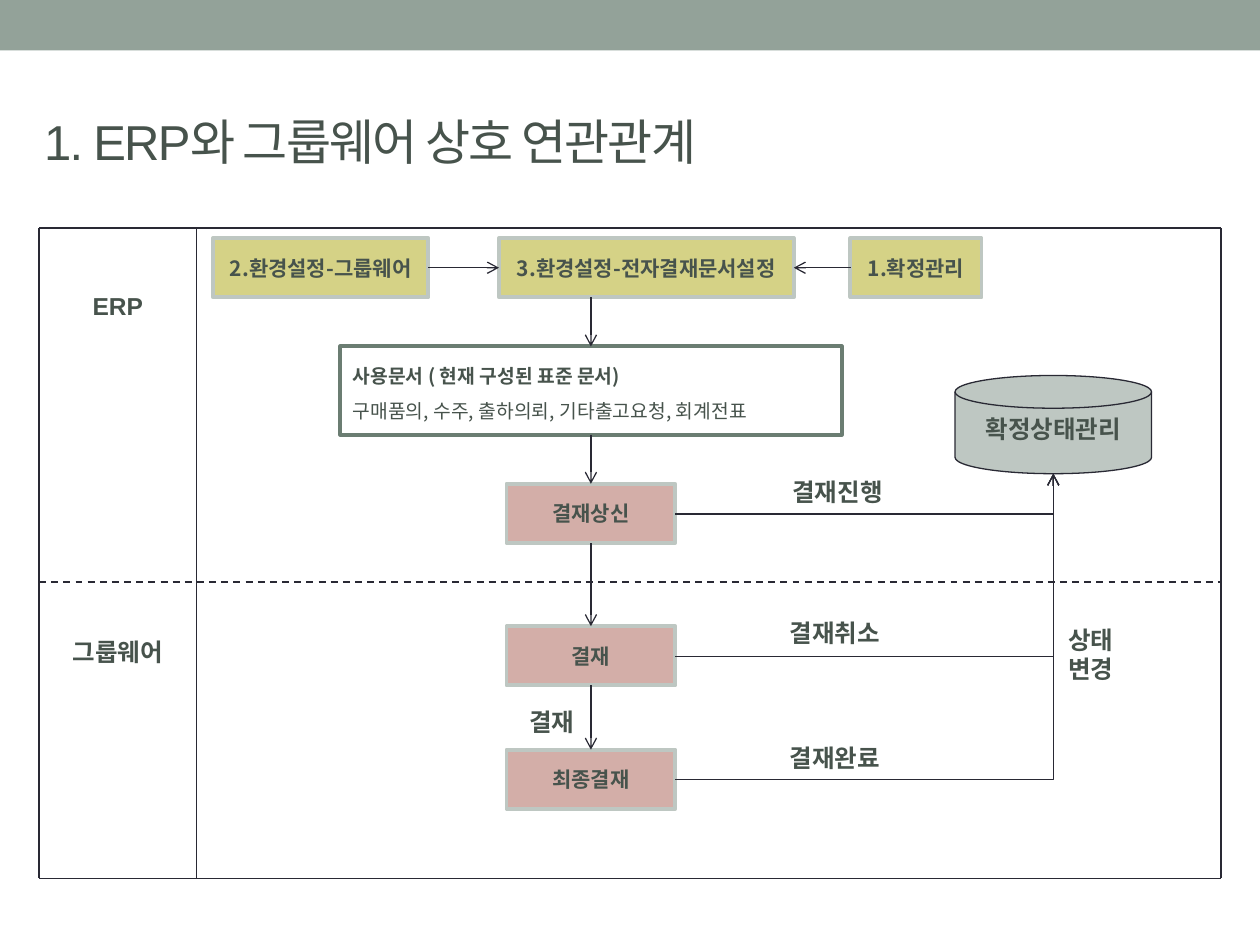
from lxml import etree
from pptx import Presentation
from pptx.dml.color import RGBColor
from pptx.enum import dml, shapes, text
from pptx.oxml.ns import qn
from pptx.util import Inches, Pt

INK = "47534C"
LINE = "292934"
SAGE = "BEC7C2"
YELLOW = "D5D286"
PINK = "D3AEA8"
SANS = "Noto Sans CJK KR"
BOX_HEIGHT = 0.47
STEP_LEFT, STEP_WIDTH = 4.02, 1.34
FLOW_X = STEP_LEFT + STEP_WIDTH / 2
LEFT, DIVIDER, RIGHT = 0.31, 1.56, 9.69
TOP, SPLIT, BOTTOM = 1.81, 4.62, 6.97
TOP_MIDDLE, LEFT_MIDDLE, BOTTOM_MIDDLE, RIGHT_MIDDLE = range(4)


def color(value):
    return RGBColor.from_string(value)


def write(shape, lines, size, font, align=text.PP_ALIGN.CENTER,
          anchor=text.MSO_ANCHOR.MIDDLE, wrap=False):
    """Fill a shape with bold paragraphs, one for each line."""
    frame = shape.text_frame
    frame.word_wrap = wrap
    frame.vertical_anchor = anchor
    frame.text = "\n".join(lines)
    for paragraph in frame.paragraphs:
        paragraph.alignment = align
        paragraph.font.size = Pt(size)
        paragraph.font.name = font
        paragraph.font.bold = True
        paragraph.font.color.rgb = color(INK)


def add_block(slide, kind, place, fill=None, line=None, width=2.25):
    shape = slide.shapes.add_shape(kind, *map(Inches, place))
    shape.shadow.inherit = False
    if fill:
        shape.fill.solid()
        shape.fill.fore_color.rgb = color(fill)
    else:
        shape.fill.background()
    if line:
        shape.line.color.rgb = color(line)
        shape.line.width = Pt(width)
    else:
        shape.line.fill.background()
    return shape


def add_box(slide, label, left, top, width, fill):
    box = add_block(slide, shapes.MSO_SHAPE.RECTANGLE,
                    (left, top, width, BOX_HEIGHT), fill, SAGE)
    write(box, [label], 12, SANS)
    return box


def add_label(slide, lines, left, top, width, height):
    label = slide.shapes.add_textbox(*map(Inches, (left, top, width, height)))
    write(label, lines, 14, "Cabin", text.PP_ALIGN.LEFT, text.MSO_ANCHOR.TOP)
    label.text_frame.auto_size = text.MSO_AUTO_SIZE.SHAPE_TO_FIT_TEXT


def add_line(slide, start, end, arrow=False, kind=shapes.MSO_CONNECTOR.STRAIGHT,
             width=0.75):
    line = slide.shapes.add_connector(kind, *map(Inches, (*start, *end)))
    line.line.color.rgb = color(LINE)
    line.line.width = Pt(width)
    properties = line._element.spPr
    if arrow:
        tail = etree.SubElement(properties.find(qn("a:ln")), qn("a:tailEnd"))
        tail.set("type", "arrow")
    etree.SubElement(properties, qn("a:effectLst"))
    return line


def join(slide, source, source_side, target, target_side):
    """Draw an arrow between the middles of two sides."""
    arrow = add_line(slide, (0, 0), (1, 1), arrow=True)
    arrow.begin_connect(source, source_side)
    arrow.end_connect(target, target_side)


def add_elbow(slide, start, end):
    """Draw an arrow that runs across and then turns up, with one corner."""
    elbow = add_line(slide, start, end, True, shapes.MSO_CONNECTOR.ELBOW)
    elbow._element.spPr.find(qn("a:prstGeom")).set("prst", "bentConnector2")


def add_title(slide, wording):
    title = slide.shapes.title
    title.left, title.top = Inches(0.25), Inches(0.58)
    title.width, title.height = Inches(9), Inches(1.08)
    title.text_frame.vertical_anchor = text.MSO_ANCHOR.MIDDLE
    paragraph = title.text_frame.paragraphs[0]
    paragraph.alignment = text.PP_ALIGN.LEFT
    run = paragraph.add_run()
    run.text = wording
    run.font._element.set("spc", "-100")
    paragraph.font.size = Pt(28)
    paragraph.font.name = "Arial"
    paragraph.font.color.rgb = color(INK)


def add_lanes(slide):
    for x in (LEFT, DIVIDER, RIGHT):
        add_line(slide, (x, TOP), (x, BOTTOM))
    for y in (TOP, BOTTOM):
        add_line(slide, (LEFT, y), (RIGHT, y))
    split = add_line(slide, (LEFT, SPLIT), (RIGHT, SPLIT), width=1)
    split.line.dash_style = dml.MSO_LINE.DASH
    for name, top in (("ERP", 2.04), ("그룹웨어", 4.78)):
        heading = slide.shapes.add_textbox(
            *map(Inches, (LEFT, top, DIVIDER - LEFT, 0.78)))
        write(heading, [name], 14, "Arial")


def add_documents(slide):
    documents = add_block(slide, shapes.MSO_SHAPE.RECTANGLE,
                          (2.7, 2.75, 3.98, 0.7), line="6B7D72")
    write(documents, ["사용문서 ( 현재 구성된 표준 문서)",
                      "구매품의, 수주, 출하의뢰, 기타출고요청, 회계전표"],
          11, SANS, text.PP_ALIGN.LEFT, text.MSO_ANCHOR.TOP)
    for paragraph in documents.text_frame.paragraphs:
        paragraph.line_spacing = 1.5
    documents.text_frame.paragraphs[1].font.bold = False
    return documents


def main():
    presentation = Presentation()
    presentation.slide_width, presentation.slide_height = Inches(10), Inches(7.5)
    slide = presentation.slides.add_slide(presentation.slide_layouts[5])

    add_block(slide, shapes.MSO_SHAPE.RECTANGLE, (0, 0, 10, 0.4), "93A299")
    add_title(slide, "1. ERP와 그룹웨어 상호 연관관계")
    add_lanes(slide)

    confirm, groupware, approval = [
        add_box(slide, label, left, 1.89, width, YELLOW)
        for label, left, width in (("1.확정관리", 6.75, 1.04),
                                   ("2.환경설정-그룹웨어", 1.69, 1.71),
                                   ("3.환경설정-전자결재문서설정", 3.96, 2.34))]
    steps = [add_box(slide, label, STEP_LEFT, top, STEP_WIDTH, PINK)
             for label, top in (("결재상신", 3.84), ("결재", 4.97), ("최종결재", 5.95))]
    documents = add_documents(slide)
    status = add_block(slide, shapes.MSO_SHAPE.FLOWCHART_MAGNETIC_DISK,
                       (7.58, 2.98, 1.56, 0.78), SAGE, LINE, 0.75)
    write(status, ["확정상태관리"], 14, "Cabin",
          anchor=text.MSO_ANCHOR.TOP, wrap=True)

    join(slide, groupware, RIGHT_MIDDLE, approval, LEFT_MIDDLE)
    join(slide, confirm, LEFT_MIDDLE, approval, RIGHT_MIDDLE)
    add_line(slide, (FLOW_X, 2.36), (FLOW_X, 2.75), arrow=True)
    flow = [documents, *steps]
    for source, target in zip(flow, flow[1:]):
        join(slide, source, BOTTOM_MIDDLE, target, TOP_MIDDLE)
    for y in (4.08, 5.21, 6.19):
        add_elbow(slide, (STEP_LEFT + STEP_WIDTH, y), (8.36, 3.76))

    for label, left, top, width in (("결재진행", 6.19, 3.74, 0.97),
                                    ("결재취소", 6.17, 4.86, 0.97),
                                    ("결재완료", 6.17, 5.85, 0.97),
                                    ("결재", 4.1, 5.56, 0.59)):
        add_label(slide, [label], left, top, width, 0.34)
    add_label(slide, ["상태", "변경"], 8.38, 4.91, 0.59, 0.57)

    presentation.save("out.pptx")


if __name__ == "__main__":
    main()
